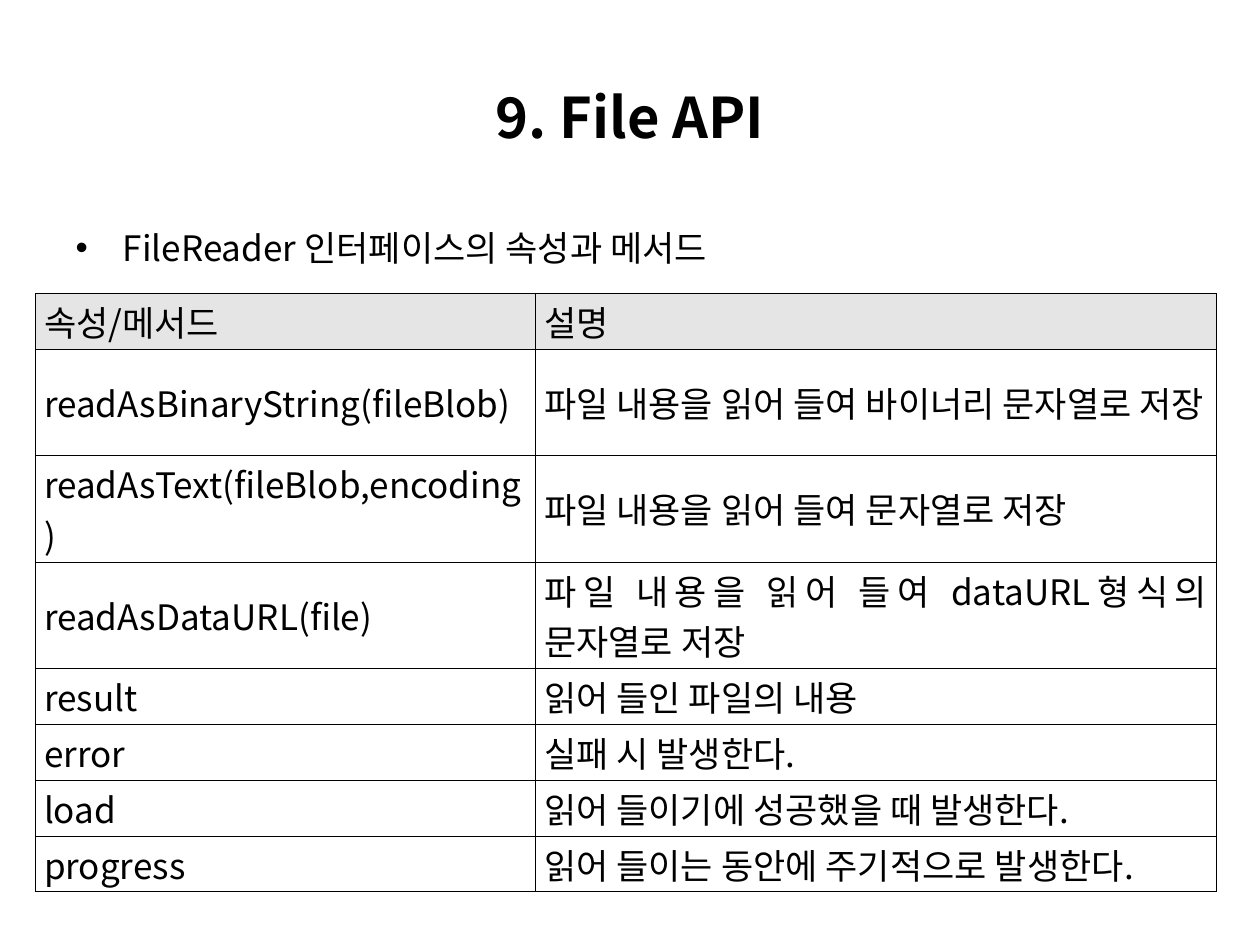
from dataclasses import dataclass

from lxml import etree
from pptx import Presentation
from pptx.dml.color import RGBColor
from pptx.enum.text import MSO_ANCHOR, MSO_AUTO_SIZE, PP_ALIGN
from pptx.oxml.ns import qn
from pptx.util import Inches, Pt

CENTER, LEFT, JUSTIFY = PP_ALIGN.CENTER, PP_ALIGN.LEFT, PP_ALIGN.JUSTIFY
MIDDLE, TOP = MSO_ANCHOR.MIDDLE, MSO_ANCHOR.TOP
NO_FIT = MSO_AUTO_SIZE.NONE

FONT = "Noto Sans CJK KR"
COLORS = {"text": "000000", "border": "000000", "header": "E5E5E5"}
BORDER_WIDTH = Pt(0.28)
LINE_ROW, DOUBLE_ROW = 0.44, 0.84
COLUMN_WIDTHS = (3.97, 5.4)


@dataclass
class Member:
    name: str
    description: str
    height: float = LINE_ROW


MEMBERS = [
    Member("속성/메서드", "설명"),
    Member("readAsBinaryString(fileBlob)",
           "파일 내용을 읽어 들여 바이너리 문자열로 저장", DOUBLE_ROW),
    Member("readAsText(fileBlob,encoding)",
           "파일 내용을 읽어 들여 문자열로 저장", DOUBLE_ROW),
    Member("readAsDataURL(file)",
           "파일 내용을 읽어 들여 dataURL형식의 문자열로 저장", DOUBLE_ROW),
    Member("result", "읽어 들인 파일의 내용"),
    Member("error", "실패 시 발생한다."),
    Member("load", "읽어 들이기에 성공했을 때 발생한다."),
    Member("progress", "읽어 들이는 동안에 주기적으로 발생한다."),
]


def write_text(tf, text: str, *, size: float = 20, bold: bool = False,
               align=LEFT) -> None:
    p = tf.paragraphs[0]
    p.alignment = align
    p.space_before = Pt(0)
    r = p.add_run()
    r.text = text
    r.font.size = Pt(size)
    r.font.bold = bold
    r.font.color.rgb = RGBColor.from_string(COLORS["text"])
    r.font.name = FONT
    latin = r.font._element.find(qn("a:latin"))
    east_asian = etree.Element(qn("a:ea"), typeface=FONT)
    latin.addnext(east_asian)


def fill_placeholder(sp, text: str, left: float, top: float, width: float,
                     height: float, *, anchor=TOP, **text_format) -> None:
    sp.left, sp.top = Inches(left), Inches(top)
    sp.width, sp.height = Inches(width), Inches(height)
    sp.text_frame.auto_size = NO_FIT
    sp.text_frame.vertical_anchor = anchor
    write_text(sp.text_frame, text, **text_format)


def add_borders(cell) -> None:
    properties = cell._tc.get_or_add_tcPr()
    for index, side in enumerate(("lnL", "lnR", "lnT", "lnB")):
        line = etree.Element(qn(f"a:{side}"), w=str(BORDER_WIDTH))
        solid = etree.SubElement(line, qn("a:solidFill"))
        etree.SubElement(solid, qn("a:srgbClr"), val=COLORS["border"])
        properties.insert(index, line)


def fill_cell(cell, text: str, is_header: bool) -> None:
    cell.margin_left = cell.margin_right = Inches(0.07)
    cell.margin_top = cell.margin_bottom = Inches(0.02)
    cell.vertical_anchor = MIDDLE
    if is_header:
        cell.fill.solid()
        cell.fill.fore_color.rgb = RGBColor.from_string(COLORS["header"])
    else:
        cell.fill.background()
    add_borders(cell)
    write_text(cell.text_frame, text, align=JUSTIFY)


def add_member_table(s, members: list[Member], left: float, top: float) -> None:
    height = sum(member.height for member in members)
    table = s.shapes.add_table(
        len(members), len(COLUMN_WIDTHS), Inches(left), Inches(top),
        Inches(sum(COLUMN_WIDTHS)), Inches(height)).table
    table.first_row = table.horz_banding = False
    for column, width in zip(table.columns, COLUMN_WIDTHS):
        column.width = Inches(width)
    for index, member in enumerate(members):
        table.rows[index].height = Inches(member.height)
        for column, text in enumerate((member.name, member.description)):
            fill_cell(table.cell(index, column), text, index == 0)


def main() -> None:
    prs = Presentation()
    prs.slide_width, prs.slide_height = Inches(10), Inches(7.5)
    s = prs.slides.add_slide(prs.slide_layouts[1])
    fill_placeholder(s.shapes.title, "9. File API", 0.5, 0.3, 9, 1.25,
                     anchor=MIDDLE, size=32, bold=True, align=CENTER)
    fill_placeholder(s.placeholders[1], "FileReader 인터페이스의 속성과 메서드",
                     0.5, 1.75, 9, 0.98)
    add_member_table(s, MEMBERS, 0.28, 2.33)
    prs.save("out.pptx")


if __name__ == "__main__":
    main()
